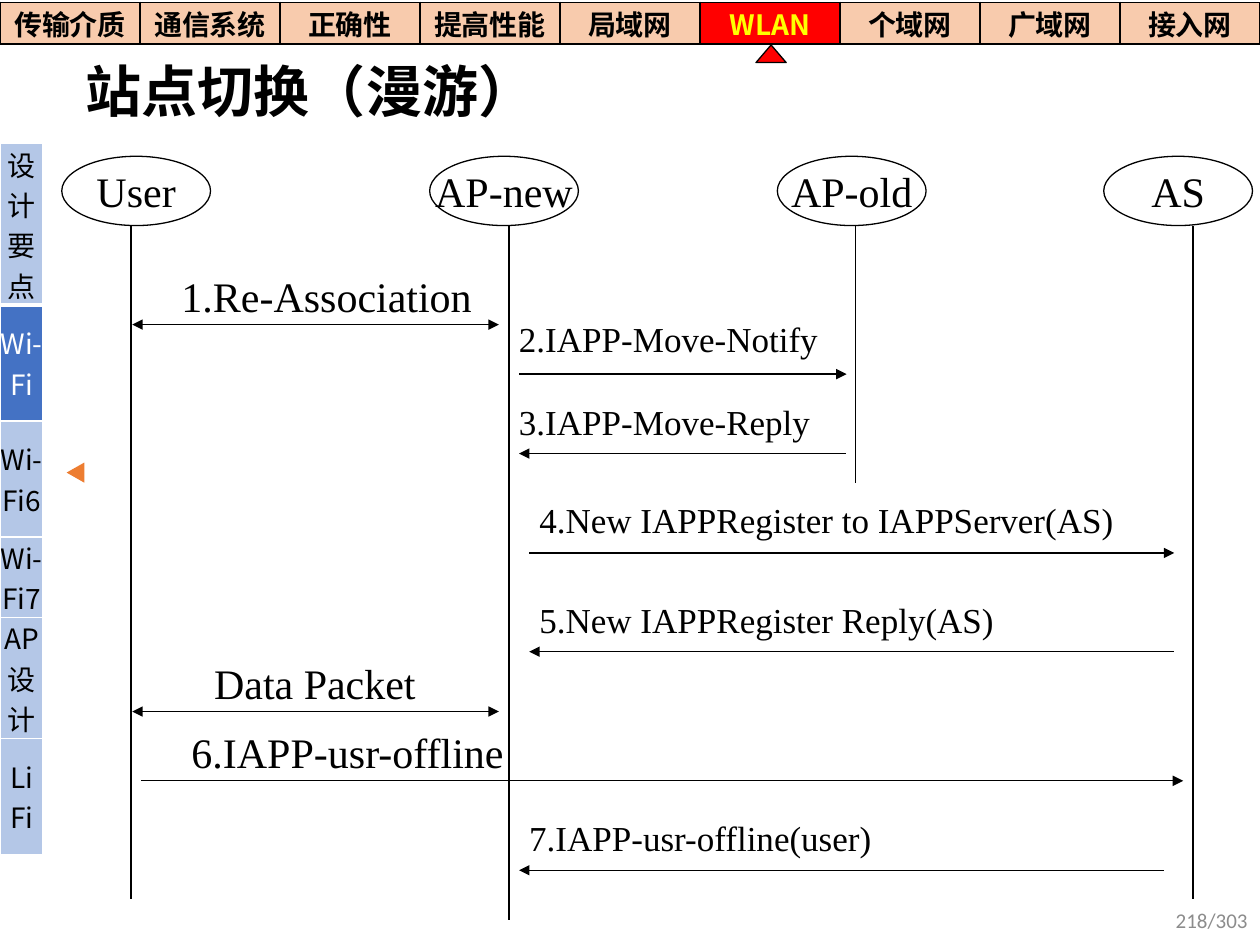
from lxml.etree import SubElement
from pptx import Presentation
from pptx.dml.color import RGBColor
from pptx.enum.shapes import MSO_CONNECTOR, MSO_SHAPE
from pptx.enum.text import MSO_ANCHOR, PP_ALIGN
from pptx.oxml.ns import qn
from pptx.util import Pt

HAN, ROMAN = "Noto Sans CJK SC", "Times New Roman"
BLACK, WHITE, RED = "000000", "FFFFFF", "FF0000"


def color(value):
    """Turn a hex string into a colour."""
    return RGBColor.from_string(value)


def assign(target, values):
    """Set each attribute named in a dict."""
    for name, value in values.items():
        setattr(target, name, value)


class SequenceSlide:
    """Hold the style and the slide, and add each kind of element."""

    line_width = 0.75
    no_insets = dict(margin_left=0, margin_right=0, margin_top=0, margin_bottom=0)
    text_insets = dict(margin_left=0, margin_right=0, margin_top=Pt(3.6), margin_bottom=Pt(3.6))

    def __init__(self, deck):
        """Start a title-only slide."""
        self.slide = deck.slides.add_slide(deck.slide_layouts[5])
        self.shapes = self.slide.shapes

    def fill_text(self, frame, text, size, font=ROMAN, ink=BLACK, bold=False, **layout):
        """Fill a text frame with formatted paragraphs."""
        frame.text = text
        for paragraph in frame.paragraphs:
            assign(paragraph, layout)
            for run in paragraph.runs:
                assign(run.font, dict(size=Pt(size), name=font, bold=bold))
                run.font.color.rgb = color(ink)
                SubElement(run._r.get_or_add_rPr(), qn("a:ea"), typeface=font)

    def title(self, text, *box):
        """Place and format the title."""
        title = self.shapes.title
        assign(title, dict(zip(("left", "top", "width", "height"), map(Pt, box))))
        title.text_frame.vertical_anchor = MSO_ANCHOR.MIDDLE
        self.fill_text(title.text_frame, text, 32, HAN, bold=True,
                       alignment=PP_ALIGN.LEFT, line_spacing=0.9)
        for paragraph in title.text_frame.paragraphs:
            properties = paragraph._p.get_or_add_pPr()
            properties.set("marL", str(Pt(21)))
            properties.set("indent", "0")

    def table(self, labels, widths, heights, left, top):
        """Add a plain table and pair its cells with their labels."""
        grid = self.shapes.add_table(len(heights), len(widths), Pt(left), Pt(top),
                                     Pt(sum(widths)), Pt(sum(heights))).table
        assign(grid, dict(first_row=False, horz_banding=False))
        for column, width in zip(grid.columns, widths):
            column.width = Pt(width)
        for row, height in zip(grid.rows, heights):
            row.height = Pt(height)
        return list(zip(grid.iter_cells(), labels))

    def cell(self, cell, text, fill, ink, edge, bold=False, widths=(1, 1, 1, 1)):
        """Format one cell, with edges in the order left, right, top, bottom."""
        assign(cell, dict(self.no_insets, vertical_anchor=MSO_ANCHOR.MIDDLE))
        self.fill_text(cell.text_frame, text, 16, HAN, ink, bold, alignment=PP_ALIGN.CENTER)
        properties = cell._tc.get_or_add_tcPr()
        for side, width in zip("LRTB", widths):
            border = SubElement(properties, qn(f"a:ln{side}"), w=str(Pt(width)))
            SubElement(SubElement(border, qn("a:solidFill")), qn("a:srgbClr"), val=edge)
        cell.fill.solid()
        cell.fill.fore_color.rgb = color(fill)

    def shape(self, kind, box, fill=None, edge=None, rotation=0):
        """Add a preset shape."""
        shape = self.shapes.add_shape(kind, *map(Pt, box))
        shape.shadow.inherit = False
        shape.rotation = rotation
        for paint, value in ((shape.fill, fill), (shape.line.fill, edge)):
            if value:
                paint.solid()
                paint.fore_color.rgb = color(value)
            else:
                paint.background()
        if edge:
            shape.line.width = Pt(self.line_width)
        return shape

    def station(self, name, *box):
        """Add a named ellipse."""
        frame = self.shape(MSO_SHAPE.OVAL, box, edge=BLACK).text_frame
        assign(frame, dict(word_wrap=False, vertical_anchor=MSO_ANCHOR.MIDDLE))
        self.fill_text(frame, name, 24, alignment=PP_ALIGN.CENTER)

    def line(self, x1, y1, x2, y2, ends=()):
        """Add a straight line with optional arrowheads."""
        line = self.shapes.add_connector(MSO_CONNECTOR.STRAIGHT, *map(Pt, (x1, y1, x2, y2)))
        line.line.width = Pt(self.line_width)
        line.line.color.rgb = color(BLACK)
        properties = line._element.spPr
        for end in ends:
            SubElement(properties.find(qn("a:ln")), qn(f"a:{end}End"), type="triangle")
        SubElement(properties, qn("a:effectLst"))

    def label(self, text, box, size, frame_format=None, **style):
        """Add a text box."""
        frame = self.shapes.add_textbox(*map(Pt, box)).text_frame
        assign(frame, dict(frame_format or self.text_insets, word_wrap=True))
        self.fill_text(frame, text, size, **style)


TOPICS = ["传输介质", "通信系统", "正确性", "提高性能", "局域网", "WLAN", "个域网", "广域网", "接入网"]
SECTIONS = ["设计要点", "Wi-\nFi", "Wi-Fi6", "Wi-Fi7", "AP设计", "Li\nFi"]
SECTION_HEIGHTS = [66.24, 66.24, 66.24, 39.6, 49.68, 66.24]
STATIONS = [("User", 35.3, 74.9, 514), ("AP-new", 245.5, 290.9, 525.6),
            ("AP-old", 444.2, 488.9, 275.8), ("AS", 630.7, 681.8, 514)]
BOTH, RIGHT, LEFT = ("head", "tail"), ("tail",), ("head",)
MESSAGES = [
    ("1.Re-Association", 103.7, 151.2, 175.7, 24, 75.6, 285.1, 185.5, BOTH),
    ("2.IAPP-Move-Notify", 296.6, 177.8, 175.7, 20, 296.6, 483.8, 213.8, RIGHT),
    ("3.IAPP-Move-Reply", 296.6, 225.4, 187.2, 20, 296.6, 483.4, 259.2, LEFT),
    ("4.New IAPPRegister to IAPPServer(AS)", 308.2, 281.5, 329, 20, 302.4, 671, 316, RIGHT),
    ("5.New IAPPRegister Reply(AS)", 308.2, 338.4, 329, 20, 302.4, 671, 372.4, LEFT),
    ("Data Packet", 103.7, 372.2, 152.6, 24, 75.6, 285.1, 406.6, BOTH),
    ("6.IAPP-usr-offline", 109.4, 411.8, 396.7, 24, 80.6, 676.1, 446.2, RIGHT),
    ("7.IAPP-usr-offline(user)", 302.4, 463, 329, 20, 296.6, 665.3, 497.3, LEFT),
]


def main():
    """Build the roaming slide."""
    deck = Presentation()
    assign(deck, dict(slide_width=Pt(720), slide_height=Pt(540)))
    roaming = SequenceSlide(deck)
    roaming.title("站点切换（漫游）", 20.9, 27.4, 681.8, 53.3)

    for cell, topic in roaming.table(TOPICS, [80] * len(TOPICS), [23.8], 0, 1.4):
        fill, ink = (RED, "FFFF00") if topic == "WLAN" else ("F8CBAD", BLACK)
        roaming.cell(cell, topic, fill, ink, BLACK, bold=True)
    roaming.shape(MSO_SHAPE.FLOWCHART_EXTRACT, (432, 25.7, 17.3, 10.1), RED, BLACK)

    for cell, section in roaming.table(SECTIONS, [24], SECTION_HEIGHTS, 0.4, 82.1):
        fill, ink = ("4472C4", WHITE) if section == "Wi-\nFi" else ("B4C7E7", BLACK)
        bottom = 3 if section == SECTIONS[0] else 1
        top = 3 if section == SECTIONS[1] else 1
        roaming.cell(cell, section, fill, ink, WHITE, widths=(1, 1, top, bottom))
    roaming.shape(MSO_SHAPE.ISOSCELES_TRIANGLE, (37.4, 265, 11.5, 10.1), "ED7D31", rotation=270)

    for name, left, lifeline, bottom in STATIONS:
        roaming.station(name, left, 89.3, 85, 39.6)
        roaming.line(lifeline, 128.9, lifeline, bottom)

    for text, left, top, width, size, start, stop, level, ends in MESSAGES:
        align = PP_ALIGN.CENTER if text == "Data Packet" else PP_ALIGN.LEFT
        roaming.line(start, level, stop, level, ends)
        roaming.label(text, (left, top, width, size * 1.2 + 7.2), size, alignment=align)

    roaming.label("218/303", (558, 511.2, 162, 28.8), 12,
                  dict(vertical_anchor=MSO_ANCHOR.MIDDLE), font="Calibri",
                  ink="8C8C8C", alignment=PP_ALIGN.RIGHT)
    deck.save("out.pptx")


if __name__ == "__main__":
    main()
